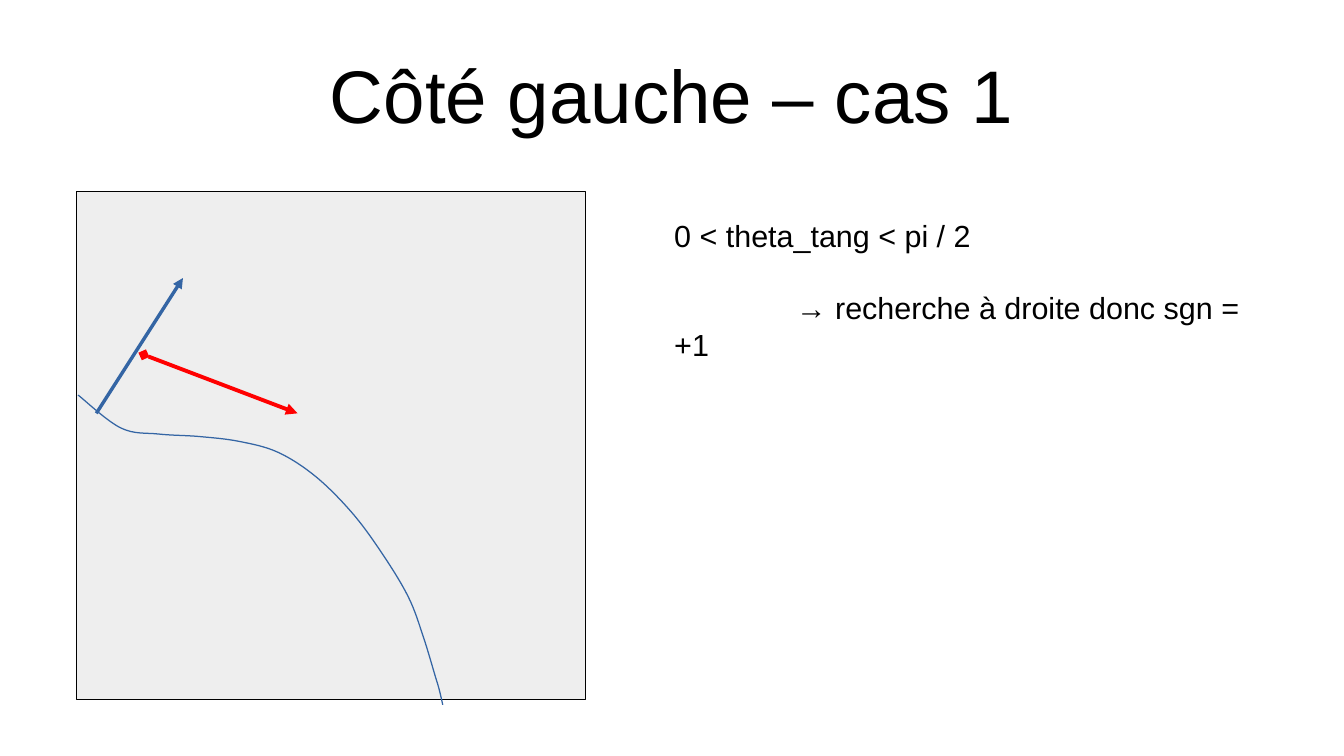
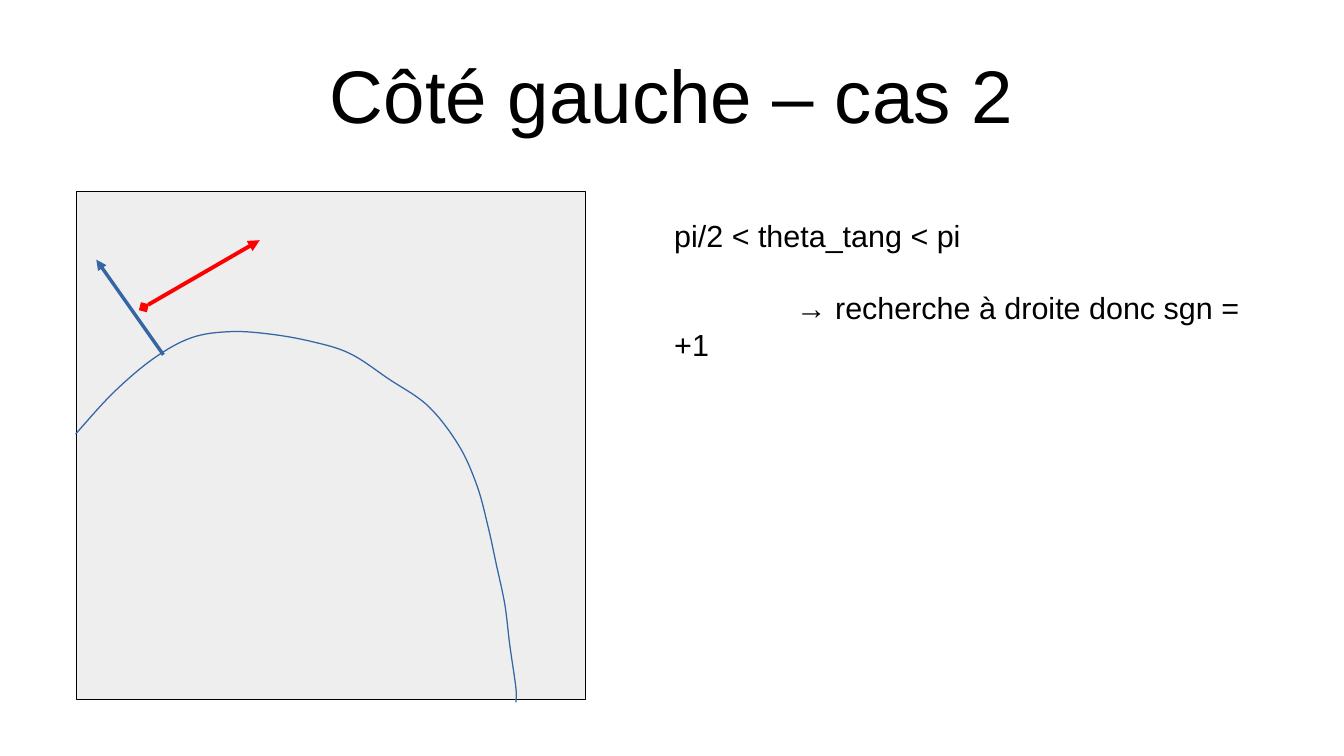
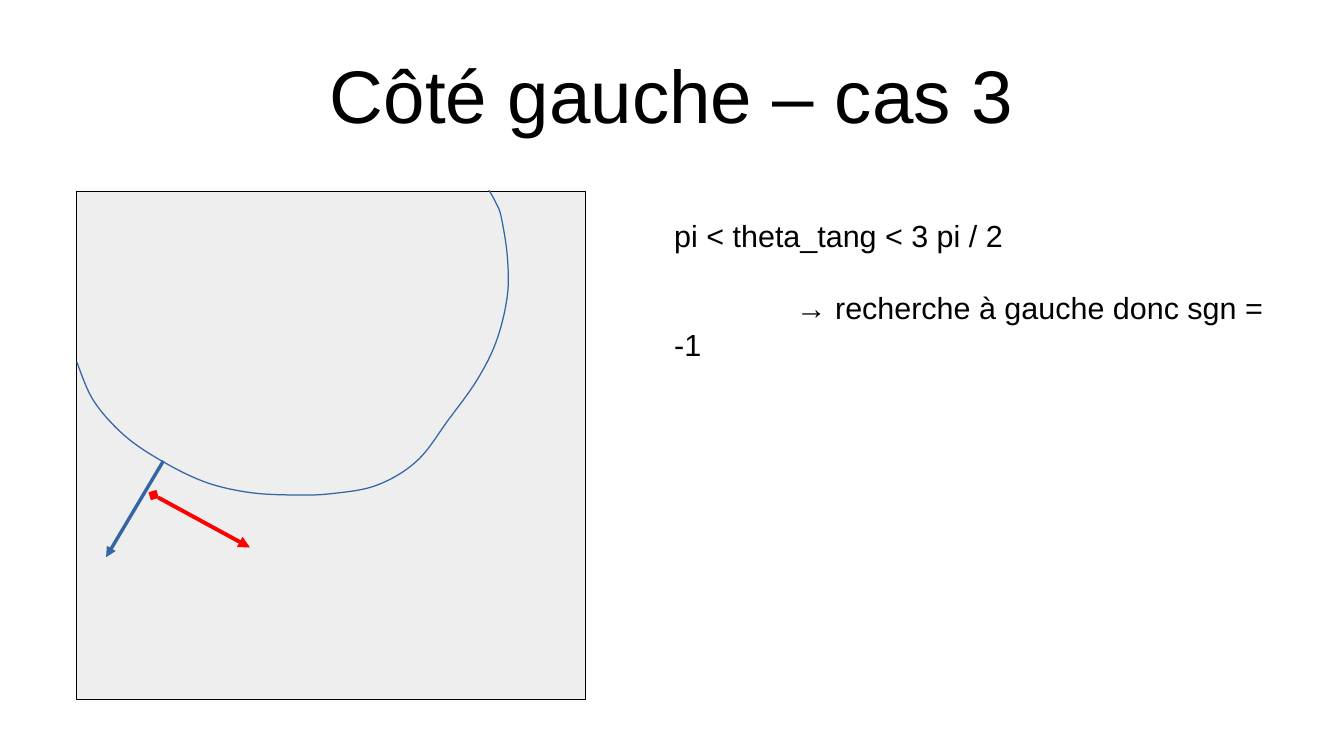
from lxml import etree
from pptx import Presentation
from pptx import util as u
from pptx.dml.color import RGBColor
from pptx.enum import shapes, text
from pptx.oxml import ns

COLOURS = {
    "text": "000000",
    "panel": "EEEEEE",
    "frame": "000000",
    "curve": "3465A4",
    "search": "FF0000",
}

# One entry per slide: contour points and arrow ends are in inches
CASES = [
    {
        "title": "Côté gauche – cas 1",
        "condition": "0 < theta_tang < pi / 2",
        "result": "\t→ recherche à droite donc sgn = +1",
        "contour": [(0.64, 3.24), (0.99, 3.51), (1.3, 3.56), (1.63, 3.58), (1.96, 3.62),
                    (2.28, 3.71), (2.59, 3.91), (2.89, 4.21), (3.14, 4.55), (3.35, 4.9),
                    (3.47, 5.22), (3.57, 5.55), (3.6, 5.65), (3.63, 5.78)],
        "tangent": [(0.79, 3.39), (1.5, 2.28)],
        "search": [(2.44, 3.39), (1.18, 2.91)],
    },
    {
        "title": "Côté gauche – cas 2",
        "condition": "pi/2 < theta_tang < pi",
        "result": "\t→ recherche à droite donc sgn = +1",
        "contour": [(0.62, 3.56), (0.93, 3.22), (1.26, 2.94), (1.57, 2.77), (1.89, 2.72),
                    (2.21, 2.74), (2.55, 2.8), (2.87, 2.9), (3.19, 3.11), (3.51, 3.33),
                    (3.76, 3.65), (3.91, 3.98), (4, 4.31), (4.07, 4.63), (4.14, 4.96),
                    (4.18, 5.29), (4.23, 5.64), (4.23, 5.76)],
        "tangent": [(1.34, 2.91), (0.79, 2.13)],
        "search": [(2.13, 1.97), (1.18, 2.52)],
    },
    {
        "title": "Côté gauche – cas 3",
        "condition": "pi < theta_tang < 3 pi / 2",
        "result": "\t→ recherche à gauche donc sgn = -1",
        "contour": [(0.63, 2.97), (0.77, 3.29), (1.03, 3.58), (1.36, 3.8), (1.7, 3.96),
                    (2.05, 4.04), (2.4, 4.06), (2.71, 4.05), (3.09, 3.98), (3.42, 3.78),
                    (3.68, 3.44), (3.91, 3.12), (4.07, 2.8), (4.16, 2.43), (4.16, 2.1),
                    (4.11, 1.78), (4.07, 1.67), (4.01, 1.56)],
        "tangent": [(1.34, 3.78), (0.87, 4.57)],
        "search": [(2.05, 4.49), (1.26, 4.06)],
    },
]


def inches(values):
    return [u.Inches(value) for value in values]


def colour(name):
    return RGBColor.from_string(COLOURS[name])


class CaseDeck:
    font = "Arial"

    def __init__(self):
        self.deck = Presentation()
        self.deck.slide_width, self.deck.slide_height = inches((11.02, 6.2))
        self.slide = None

    def new_slide(self, title):
        self.slide = self.deck.slides.add_slide(self.deck.slide_layouts[5])
        box = self.slide.shapes.title
        box.left, box.top, box.width, box.height = inches((0.55, 0.25, 9.92, 1.04))
        frame = box.text_frame
        frame.margin_left = frame.margin_right = frame.margin_top = frame.margin_bottom = 0
        frame.vertical_anchor = text.MSO_ANCHOR.MIDDLE
        self.fit(frame)
        para = frame.paragraphs[0]
        para.alignment = text.PP_ALIGN.CENTER
        self.span(para, title, 44)

    def fit(self, frame):
        frame.word_wrap = True
        frame.auto_size = text.MSO_AUTO_SIZE.SHAPE_TO_FIT_TEXT

    def span(self, para, words, size):
        span = para.add_run()
        span.text = words
        span.font.name = self.font
        span.font.size = u.Pt(size)
        span.font.color.rgb = colour("text")

    def outline(self, item, name, width=0):
        item.line.color.rgb = colour(name)
        item.line.width = u.Pt(width)

    def panel(self):
        box = self.slide.shapes.add_shape(
            shapes.MSO_SHAPE.RECTANGLE, *inches((0.63, 1.57, 4.17, 4.17)))
        box.shadow.inherit = False
        box.fill.solid()
        box.fill.fore_color.rgb = colour("panel")
        self.outline(box, "frame")

    def contour(self, points):
        corners = [inches(point) for point in points]
        builder = self.slide.shapes.build_freeform(*corners[0])
        builder.add_line_segments(corners[1:], close=False)
        curve = builder.convert_to_shape()
        curve.shadow.inherit = False
        curve.fill.background()
        self.outline(curve, "curve")
        self.smooth(curve)

    def smooth(self, curve):
        """Turn the straight segments into Bézier curves through the same points."""
        outline = next(curve.element.iter(ns.qn("a:path")))
        points = [(int(point.get("x")), int(point.get("y")))
                  for point in outline.iter(ns.qn("a:pt"))]
        padded = [points[0], *points, points[-1]]
        for index, segment in enumerate(outline.findall(ns.qn("a:lnTo"))):
            before, start, end, after = padded[index:index + 4]
            first = [s + (e - b) // 6 for b, s, e in zip(before, start, end)]
            second = [e - (a - s) // 6 for s, e, a in zip(start, end, after)]
            bezier = etree.Element(ns.qn("a:cubicBezTo"))
            for x, y in (first, second, end):
                etree.SubElement(bezier, ns.qn("a:pt"), x=str(x), y=str(y))
            outline.replace(segment, bezier)

    def arrow(self, ends, name, width=0, **tips):
        start, end = ends
        line = self.slide.shapes.add_connector(
            shapes.MSO_CONNECTOR.STRAIGHT, *inches(start + end))
        self.outline(line, name, width)
        properties = line.element.spPr
        stroke = properties.find(ns.qn("a:ln"))
        for tip, kind in tips.items():
            etree.SubElement(stroke, ns.qn("a:" + tip), type=kind)
        etree.SubElement(properties, ns.qn("a:effectLst"))

    def rule(self, condition, result):
        box = self.slide.shapes.add_textbox(*inches((5.43, 1.73, 5.12, 0.94)))
        frame = box.text_frame
        self.fit(frame)
        self.span(frame.paragraphs[0], condition, 18)
        para = frame.add_paragraph()
        para.space_before = u.Pt(21)
        tabs = etree.SubElement(para._p.get_or_add_pPr(), ns.qn("a:tabLst"))
        etree.SubElement(tabs, ns.qn("a:tab"), pos=str(u.Inches(1)), algn="l")
        self.span(para, result, 18)


def main():
    cases = CaseDeck()
    for case in CASES:
        cases.new_slide(case["title"])
        # Diagram: panel, contour, tangent and search direction
        cases.panel()
        cases.contour(case["contour"])
        cases.arrow(case["tangent"], "curve", tailEnd="triangle")
        cases.arrow(case["search"], "search", 2.3, headEnd="triangle", tailEnd="diamond")
        # Rule for the sign
        cases.rule(case["condition"], case["result"])
    cases.deck.save("out.pptx")


if __name__ == "__main__":
    main()
